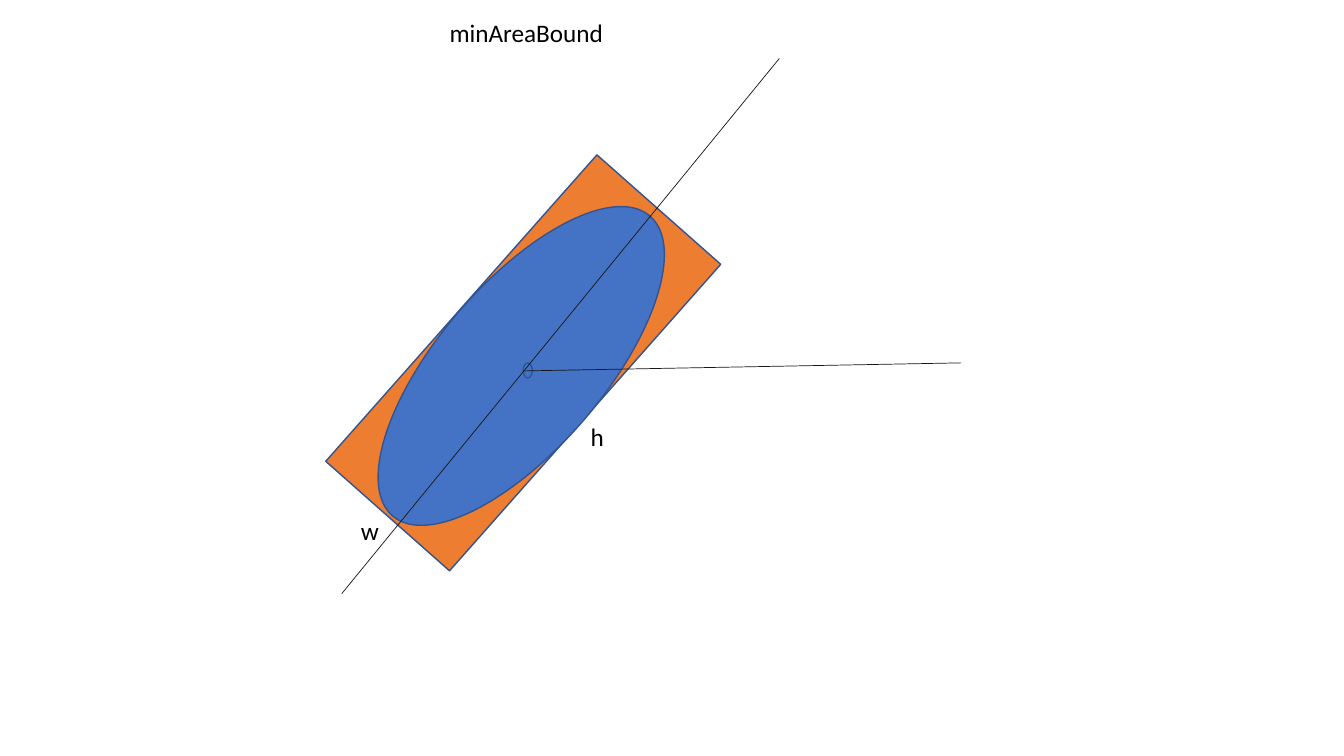
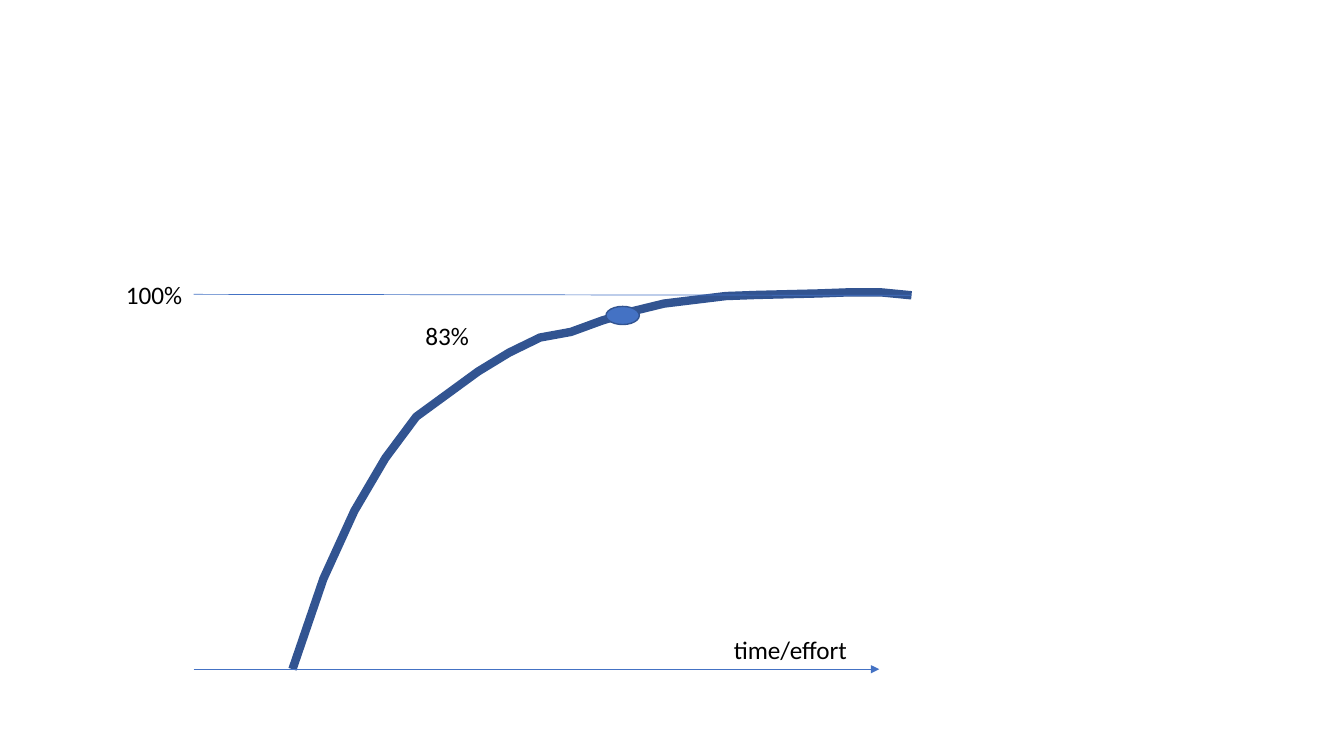
from dataclasses import dataclass

from lxml import etree
from pptx import Presentation
from pptx import util as u
from pptx.dml.color import RGBColor
from pptx.enum import shapes, text
from pptx.oxml import ns


@dataclass(frozen=True)
class Theme:
    blue: RGBColor = RGBColor.from_string("4472C4")
    navy: RGBColor = RGBColor.from_string("325491")
    orange: RGBColor = RGBColor.from_string("ED7D31")
    ink: RGBColor = RGBColor.from_string("181717")
    black: RGBColor = RGBColor.from_string("000000")
    font: str = "Calibri"
    label_size: u.Pt = u.Pt(18)
    hairline: u.Pt = u.Pt(0.5)
    edge: u.Pt = u.Pt(1)
    heavy: u.Pt = u.Pt(6)


theme = Theme()
RECTANGLE, OVAL = shapes.MSO_SHAPE.RECTANGLE, shapes.MSO_SHAPE.OVAL
STRAIGHT = shapes.MSO_CONNECTOR.STRAIGHT
RIGHT_SIDE = 3
LABEL_HEIGHT = 5.33

deck = Presentation()
deck.slide_width, deck.slide_height = u.Inches(13.33), u.Inches(7.5)
blank = deck.slide_layouts[6]


def share(*percents):
    """Turn alternating percentages of slide width and height into lengths."""
    sides = deck.slide_width, deck.slide_height
    return [round(sides[i % 2] * percent / 100) for i, percent in enumerate(percents)]


def label(slide, words, left, top, width, *, wrap=False, size=theme.label_size, color=theme.black):
    box = slide.shapes.add_textbox(*share(left, top, width, LABEL_HEIGHT))
    box.text_frame.word_wrap = wrap
    box.text_frame.auto_size = text.MSO_AUTO_SIZE.SHAPE_TO_FIT_TEXT
    run = box.text_frame.paragraphs[0].add_run()
    run.text = words
    run.font.name, run.font.size, run.font.color.rgb = theme.font, size, color
    return box


# Every drawn part is listed here with its colour and styled at the end.
filled_parts = []
thin_lines = []

# Slide 1: the smallest rotated rectangle around an ellipse
bound_slide = deck.slides.add_slide(blank)

for kind, color, angle, place in [
    (RECTANGLE, theme.orange, 41.5, (32.78, 20.93, 12.3, 54.13)),
    (OVAL, theme.blue, 310.6, (24.08, 37.47, 29.41, 21.87)),
    (OVAL, theme.blue, 0, (38.93, 48, 0.68, 2)),
]:
    part = bound_slide.shapes.add_shape(kind, *share(*place))
    part.rotation = angle
    filled_parts.append((part, color))

for words, left, top, width in [
    ("w", 26.11, 67.47, 2.85),
    ("h", 43.21, 55.07, 2.55),
    ("minAreaBound", 32.71, 1.6, 13.05),
]:
    label(bound_slide, words, left, top, width)

long_axis = bound_slide.shapes.add_connector(STRAIGHT, *share(57.99, 7.73, 25.43, 78.53))
horizontal = bound_slide.shapes.add_connector(STRAIGHT, *share(71.49, 48, 38.93, 49.07))
thin_lines += [(long_axis, theme.ink), (horizontal, theme.ink)]

# Slide 2: progress towards 100% over time
effort_slide = deck.slides.add_slide(blank)
axis_left, axis_right = 14.4, 65.42
curve_left, curve_right = 21.76, 67.82
zero_level, full_level = 88.53, 38.67

# Progress in percent, read at equal steps of time
progress = [0, 24, 42, 56, 67, 73, 79, 84, 88, 89.5, 92.5,
            95, 97, 98, 99, 99.3, 99.5, 99.7, 100, 100, 99.2]
time_step = (curve_right - curve_left) / (len(progress) - 1)
rise = (zero_level - full_level) / 100
start, *later = [
    share(curve_left + step * time_step, zero_level - done * rise)
    for step, done in enumerate(progress)
]
pen = effort_slide.shapes.build_freeform(*start)
pen.add_line_segments(later, close=False)
curve = pen.convert_to_shape()
curve.shadow.inherit = False
curve.fill.background()
curve.line.color.rgb, curve.line.width = theme.navy, theme.heavy

full_label = label(effort_slide, "100%", 8.63, 36.27, 5.78)
ceiling = effort_slide.shapes.add_connector(
    STRAIGHT, *share(curve_right, 39.07, axis_left, full_level))
ceiling.end_connect(full_label, RIGHT_SIDE)

reached = effort_slide.shapes.add_shape(OVAL, *share(45.09, 40.53, 2.48, 2.4))
filled_parts.append((reached, theme.blue))
label(effort_slide, "83%", 30.91, 41.73, 6.3, wrap=True)

time_axis = effort_slide.shapes.add_connector(
    STRAIGHT, *share(axis_left, zero_level, axis_right, zero_level))
label(effort_slide, "time/effort", 53.86, 83.2, 10.05)
thin_lines += [(ceiling, theme.blue), (time_axis, theme.blue)]

# Style shared by both slides
for part, color in filled_parts:
    part.shadow.inherit = False
    part.fill.solid()
    part.fill.fore_color.rgb = color
    part.line.color.rgb, part.line.width = theme.navy, theme.edge

for line, color in thin_lines:
    line.line.color.rgb, line.line.width = color, theme.hairline
    etree.SubElement(line.element.spPr, ns.qn("a:effectLst"))

time_stroke = time_axis.element.spPr.find(ns.qn("a:ln"))
etree.SubElement(time_stroke, ns.qn("a:tailEnd"), type="triangle")

deck.save("out.pptx")
